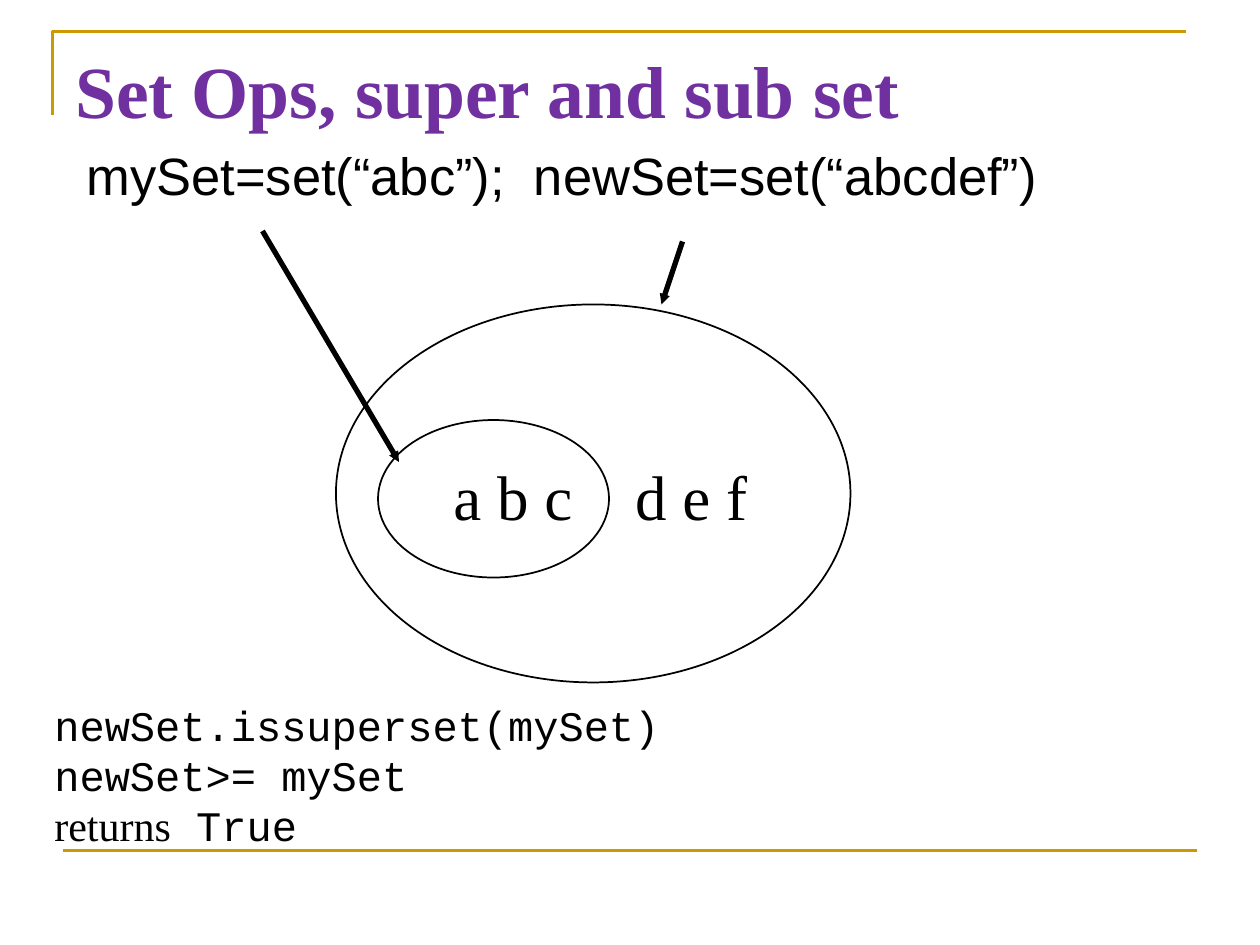
from pptx import Presentation
from pptx.dml.color import RGBColor
from pptx.enum.shapes import MSO_CONNECTOR, MSO_SHAPE
from pptx.util import Pt
from pptx.oxml.ns import qn
from lxml.etree import SubElement

BLACK, GOLD, PURPLE = "000000", "CC9900", "7030A0"
SERIF, SANS, MONO = "Times New Roman", "Arial", "Courier New"
LINE_HEIGHT = 1.2

deck = Presentation()
deck.slide_width, deck.slide_height = Pt(720), Pt(540)
slide = deck.slides.add_slide(deck.slide_layouts[6])
shapes = slide.shapes


def add_line(start, end, color, width, arrow=False):
    line = shapes.add_connector(
        MSO_CONNECTOR.STRAIGHT, *(Pt(value) for value in start + end))
    line.line.color.rgb = RGBColor.from_string(color)
    line.line.width = Pt(width)
    properties = line._element.spPr
    if arrow:
        SubElement(properties.find(qn("a:ln")), qn("a:tailEnd"),
                   type="triangle", w="sm", len="sm")
    SubElement(properties, qn("a:effectLst"))


def add_text(box, lines, size, color=BLACK, bold=False):
    """Write lines, each a list of (text, font) runs."""
    frame = shapes.add_textbox(*(Pt(value) for value in box)).text_frame
    frame.word_wrap = True
    for number, line in enumerate(lines):
        paragraph = frame.add_paragraph() if number else frame.paragraphs[0]
        paragraph.line_spacing = Pt(round(size * LINE_HEIGHT, 1))
        for text, font in line:
            run = paragraph.add_run()
            run.text = text
            run.font.name = font
            run.font.size = Pt(size)
            run.font.bold = bold
            run.font.color.rgb = RGBColor.from_string(color)


# Frame around the slide
corner = shapes.build_freeform(Pt(30), Pt(66), scale=1.0)
corner.add_line_segments([(Pt(30), Pt(18)), (Pt(678), Pt(18))], close=False)
top_rule = corner.convert_to_shape()
top_rule.shadow.inherit = False
top_rule.fill.background()
top_rule.line.color.rgb = RGBColor.from_string(GOLD)
top_rule.line.width = Pt(1.5)
add_line((36, 486), (684, 486), GOLD, 1.5)

# Title, definitions and result
add_text((36, 22, 648, 108), [[("Set Ops, super and sub set", SERIF)]],
         42, PURPLE, bold=True)
add_text((42.5, 78.2, 648, 404.6),
         [[("mySet=set(“abc”);  newSet=set(“abcdef”)", SANS)]], 30)
add_text((24, 396, 720, 151.2), [
    [("newSet.issuperset(mySet)", MONO)],
    [("newSet>= mySet", MONO)],
    [("returns", SERIF), (" True", MONO)],
], 24)

# Venn diagram: the subset inside the superset
add_line((150, 132), (228, 264), BLACK, 3, arrow=True)
add_line((390, 138), (378, 174), BLACK, 3, arrow=True)
for box in [(192, 174, 294, 216), (216, 240, 132, 90)]:
    ring = shapes.add_shape(MSO_SHAPE.OVAL, *(Pt(value) for value in box))
    ring.shadow.inherit = False
    ring.fill.background()
    ring.line.color.rgb = RGBColor.from_string(BLACK)
    ring.line.width = Pt(1)
add_text((252, 258, 190, 50.4), [[("a b c    d e f", SERIF)]], 36)

deck.save("out.pptx")
